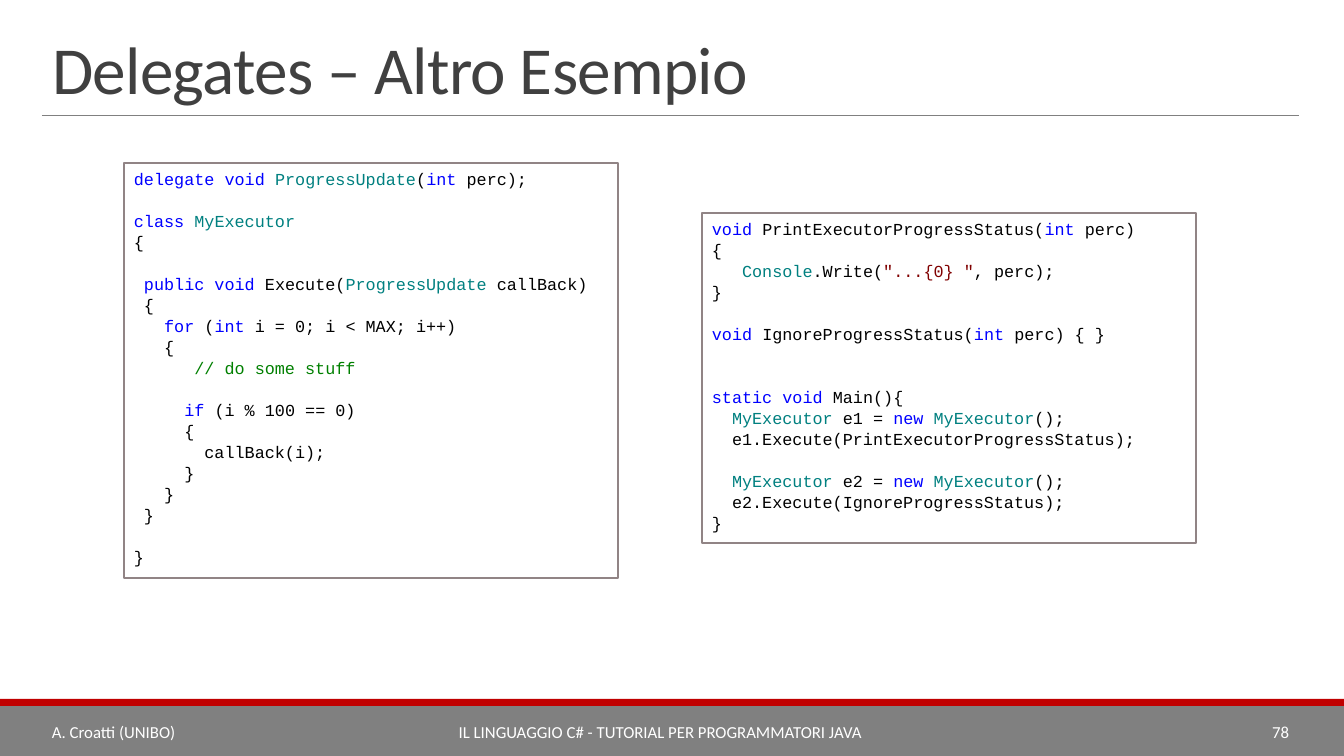
from itertools import groupby

from lxml import etree
from pptx import Presentation
from pptx import util as u
from pptx.dml.color import RGBColor
from pptx.enum import shapes, text
from pptx.oxml.ns import qn

SCALE = 914400 / 100.8
WHITE = RGBColor(0xFF, 0xFF, 0xFF)
BLACK = RGBColor(0, 0, 0)
GRAY = RGBColor(0x80, 0x80, 0x80)
DARK = RGBColor(0x40, 0x40, 0x40)
RED = RGBColor(0xC0, 0, 0)
FRAME = RGBColor(0x91, 0x84, 0x85)
BLUE = RGBColor(0, 0, 0xFF)
TEAL = RGBColor(0, 0x80, 0x80)
GREEN = RGBColor(0, 0x80, 0)
MAROON = RGBColor(0x80, 0, 0)

WORDS = dict.fromkeys("delegate void int class public for if static new".split(), BLUE)
WORDS.update(dict.fromkeys("ProgressUpdate MyExecutor Console".split(), TEAL))

CLASS = """delegate void ProgressUpdate(int perc);

class MyExecutor
{

 public void Execute(ProgressUpdate callBack)
 {
   for (int i = 0; i < MAX; i++)
   {
      // do some stuff

     if (i % 100 == 0)
     {
       callBack(i);
     }
   }
 }

}"""

USAGE = """void PrintExecutorProgressStatus(int perc)
{
   Console.Write("...{0} ", perc);
}

void IgnoreProgressStatus(int perc) { }


static void Main(){
  MyExecutor e1 = new MyExecutor();
  e1.Execute(PrintExecutorProgressStatus);

  MyExecutor e2 = new MyExecutor();
  e2.Execute(IgnoreProgressStatus);
}"""


def px(n):
    return u.Emu(round(n * SCALE))


def style(run, size, color, face="Calibri"):
    run.font.size = u.Pt(size)
    run.font.name = face
    run.font.color.rgb = color


def block(slide, box, fill):
    rect = slide.shapes.add_shape(shapes.MSO_SHAPE.RECTANGLE, *map(px, box))
    rect.shadow.inherit = False
    rect.fill.solid()
    rect.fill.fore_color.rgb = fill
    rect.line.fill.background()
    return rect


def paint(line):
    if line.strip().startswith("//"):
        return [(GREEN, line)]
    parts = []
    for i, part in enumerate(line.split('"')):
        if i % 2:
            parts.append((MAROON, f'"{part}"'))
            continue
        for _, chars in groupby(part, str.isalnum):
            word = "".join(chars)
            color = WORDS.get(word, BLACK)
            if word.isspace() and parts:
                color = parts[-1][0]
            parts.append((color, word))
    return [(color, "".join(word for _, word in group))
            for color, group in groupby(parts, lambda part: part[0])]


def code(slide, box, source):
    rect = block(slide, box, WHITE)
    rect.line.color.rgb = FRAME
    rect.line.width = u.Pt(1.25)
    frame = rect.text_frame
    frame.word_wrap = True
    frame.vertical_anchor = text.MSO_ANCHOR.TOP
    frame.text = source
    for para, line in zip(frame.paragraphs, source.split("\n")):
        para.clear()
        para.alignment = text.PP_ALIGN.LEFT
        para.line_spacing = u.Pt(15)
        for color, words in paint(line):
            run = para.add_run()
            run.text = words
            style(run, 12, color, "Courier New")


def header(slide, box):
    left, top, width, height = box
    title = slide.shapes.title
    title.left, title.top, title.width, title.height = map(px, box)
    frame = title.text_frame
    frame.text = "Delegates – Altro Esempio"
    frame.auto_size = text.MSO_AUTO_SIZE.NONE
    frame.vertical_anchor = text.MSO_ANCHOR.BOTTOM
    para = frame.paragraphs[0]
    para.alignment = text.PP_ALIGN.LEFT
    para.line_spacing = 0.85
    run = para.runs[0]
    style(run, 48, DARK)
    run.font._element.set("spc", "-50")
    base = top + height + 2
    rule = slide.shapes.add_connector(
        shapes.MSO_CONNECTOR.STRAIGHT, px(left), px(base), px(left + width), px(base))
    rule.line.color.rgb = GRAY
    rule.line.width = u.Pt(0.5)
    etree.SubElement(rule._element.spPr, qn("a:effectLst"))


def footer(slide, box):
    left, top, width, height = box
    block(slide, (left, top + 7, width, height - 7), GRAY)
    block(slide, (left, top, width, 7), RED)
    align = text.PP_ALIGN
    labels = [
        ("A. Croatti (UNIBO)", 187, align.LEFT),
        ("IL LINGUAGGIO C# - TUTORIAL PER PROGRAMMATORI JAVA", 863, align.CENTER),
        ("78", 207, align.RIGHT),
    ]
    x = left + 42
    for words, span, side in labels:
        label = slide.shapes.add_textbox(px(x), px(top + 13), px(span), px(40))
        frame = label.text_frame
        frame.word_wrap = True
        frame.vertical_anchor = text.MSO_ANCHOR.MIDDLE
        frame.text = words
        para = frame.paragraphs[0]
        para.alignment = side
        style(para.runs[0], 12, WHITE)
        x += span


def main():
    deck = Presentation()
    deck.slide_width, deck.slide_height = px(1344), px(756)
    slide = deck.slides.add_slide(deck.slide_layouts[5])
    header(slide, (42, 31, 1257, 82))
    code(slide, (124, 163, 494, 415), CLASS)
    code(slide, (702, 213, 494, 330), USAGE)
    footer(slide, (0, 699, 1344, 57))
    deck.save("out.pptx")


if __name__ == "__main__":
    main()
